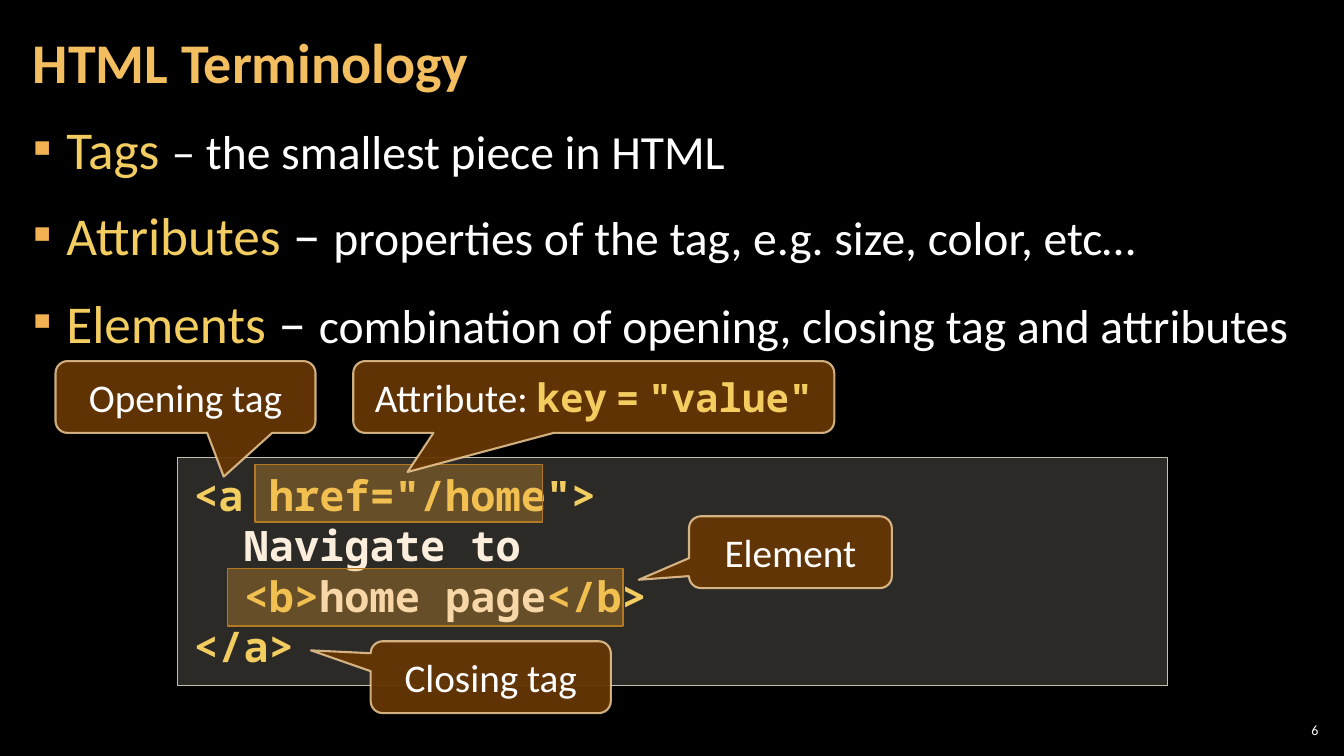
import pptx
import pptx.util
import pptx.dml.color
from lxml import etree
from pptx.enum.shapes import MSO_SHAPE
from pptx.enum.text import MSO_ANCHOR, MSO_AUTO_SIZE, PP_ALIGN
from pptx.oxml.ns import qn

Cm, Pt = pptx.util.Cm, pptx.util.Pt
SANS, MONO = "Calibri", "Noto Sans Mono"
WHITE, GOLD, CREAM = "FFFFFF", "F3CD60", "FBEEDC"


def color(value):
    return pptx.dml.color.RGBColor.from_string(value)


def style(font, size=None, name=None, hue=None, bold=None):
    if size:
        font.size = Pt(size)
    if name:
        font.name = name
    if hue:
        font.color.rgb = color(hue)
    if bold is not None:
        font.bold = bold


def write(para, runs, **base):
    """Put base on the paragraph and each run's own style on the run."""
    style(para.font, **base)
    for text, own in runs:
        run = para.add_run()
        run.text = text
        style(run.font, **own)


def bullet(para, mark, hue, indent):
    props = para._p.get_or_add_pPr()
    props.set("marL", str(Cm(indent)))
    props.set("indent", str(-Cm(indent)))
    tint = etree.SubElement(props, qn("a:buClr"))
    etree.SubElement(tint, qn("a:srgbClr"), val=hue)
    etree.SubElement(props, qn("a:buFont"), typeface=SANS)
    etree.SubElement(props, qn("a:buChar"), char=mark)


def fade(shape, *alphas):
    """Set opacity in percent on the fill, then on the line."""
    tints = shape.element.spPr.iter(qn("a:srgbClr"))
    for tint, alpha in zip(tints, alphas):
        etree.SubElement(tint, qn("a:alpha"), val=str(alpha * 1000))


class Deck:
    def __init__(self):
        self.show = pptx.Presentation()
        self.show.slide_width, self.show.slide_height = Cm(33.86), Cm(19.05)
        self.slide = self.show.slides.add_slide(self.show.slide_layouts[1])
        back = self.slide.background.fill
        back.solid()
        back.fore_color.rgb = color("000000")

    def frame(self, shape, pad_x, pad_y, anchor):
        frame = shape.text_frame
        frame.word_wrap = True
        frame.auto_size = MSO_AUTO_SIZE.NONE
        frame.vertical_anchor = anchor
        frame.margin_left = frame.margin_right = Cm(pad_x)
        frame.margin_top = frame.margin_bottom = Cm(pad_y)
        return frame

    def place(self, shape, box):
        shape.left, shape.top, shape.width, shape.height = map(Cm, box)
        return shape

    def title(self, text, box):
        shape = self.place(self.slide.shapes.title, box)
        para = self.frame(shape, 0.3, 0.1, MSO_ANCHOR.MIDDLE).paragraphs[0]
        para.alignment = PP_ALIGN.LEFT
        para.line_spacing = 0.9
        write(para, [(text, {})], size=40, name=SANS, hue="F3BE60", bold=True)

    def terms(self, items, box):
        shape = self.place(self.slide.placeholders[1], box)
        frame = self.frame(shape, 0.3, 0.1, MSO_ANCHOR.TOP)
        for i, (term, dash, text) in enumerate(items):
            para = frame.add_paragraph() if i else frame.paragraphs[0]
            bullet(para, "▪", "F2B254", 0.84)
            para.line_spacing = 1.05
            para.space_before = Pt(6 if i else 0)
            para.space_after = Pt(6)
            runs = [(term + " ", dict(size=38, hue=GOLD)),
                    (dash + " ", dict(size=40 if i else 34, hue=WHITE)),
                    (text, dict(size=34, hue=WHITE))]
            write(para, runs, name=SANS)

    def shape(self, kind, box, fill, line, width, *alphas):
        shape = self.slide.shapes.add_shape(kind, *map(Cm, box))
        shape.shadow.inherit = False
        shape.fill.solid()
        shape.fill.fore_color.rgb = color(fill)
        shape.line.color.rgb = color(line)
        shape.line.width = Pt(width)
        fade(shape, *alphas)
        return shape

    def code(self, lines, box):
        shape = self.shape(MSO_SHAPE.RECTANGLE, box, "D9D5C7", "C7BFAC", 1, 20)
        frame = self.frame(shape, 0.4, 0.3, MSO_ANCHOR.TOP)
        for i, runs in enumerate(lines):
            para = frame.add_paragraph() if i else frame.paragraphs[0]
            para.alignment = PP_ALIGN.LEFT
            para.line_spacing = 1.0
            write(para, [(text, dict(hue=hue)) for text, hue in runs],
                  size=30, name=MONO, bold=True)

    def marker(self, box):
        self.shape(MSO_SHAPE.RECTANGLE, box, "F0A22E", "B27822", 1, 30)

    def callout(self, runs, left, top, width, tip):
        shape = self.shape(MSO_SHAPE.ROUNDED_RECTANGULAR_CALLOUT,
                           (left, top, width, 1.81),
                           "663606", "F8D49E", 1.5, 95, 80)
        shape.adjustments[0], shape.adjustments[1] = tip
        para = self.frame(shape, 0.25, 0.13, MSO_ANCHOR.MIDDLE).paragraphs[0]
        para.alignment = PP_ALIGN.CENTER
        write(para, runs, size=28)

    def number(self, text, box):
        shape = self.slide.shapes.add_textbox(*map(Cm, box))
        para = self.frame(shape, 0.1, 0.1, MSO_ANCHOR.MIDDLE).paragraphs[0]
        para.alignment = PP_ALIGN.RIGHT
        write(para, [(text, {})], size=10, name=SANS, hue=WHITE)


def main():
    deck = Deck()
    deck.title("HTML Terminology", (0.53, 0.1, 26.59, 3.07))
    deck.terms([
        ("Tags", "–", "the smallest piece in HTML"),
        ("Attributes", "–", "properties of the tag, e.g. size, color, etc…"),
        ("Elements", "–",
         "combination of opening, closing tag and attributes"),
    ], (0.53, 2.74, 32.79, 15.67))
    deck.code([
        [('<a href="/home">', GOLD)],
        [("  Navigate to", CREAM)],
        [("  <b>", GOLD), ("home page", CREAM), ("</b>", GOLD)],
        [("</a>", GOLD)],
    ], (4.47, 11.53, 24.94, 5.74))
    deck.number("6", (32.13, 18.14, 1.19, 0.53))
    deck.marker((6.43, 11.71, 7.24, 1.45))
    deck.marker((5.74, 14.33, 9.96, 1.45))

    plain = dict(name=SANS, hue=WHITE)
    key = dict(name=MONO, hue=GOLD, bold=True)
    gap = dict(name=SANS, hue=GOLD, bold=True)
    pair = [("Attribute: ", plain), ("key", key), (" ", gap), ("=", key),
            (" ", gap), ('"value"', key)]
    for runs, left, top, width, tip in [
        ([("Opening tag", plain)], 1.4, 9.1, 6.55, (0.147, 1.109)),
        (pair, 8.9, 9.1, 12.12, (-0.387, 1.044)),
        ([("Element", plain)], 17.36, 13.01, 5.11, (-0.748, 0.384)),
        ([("Closing tag", plain)], 9.34, 16.16, 6.05, (-0.749, -0.373)),
    ]:
        deck.callout(runs, left, top, width, tip)
    deck.show.save("out.pptx")


if __name__ == "__main__":
    main()
